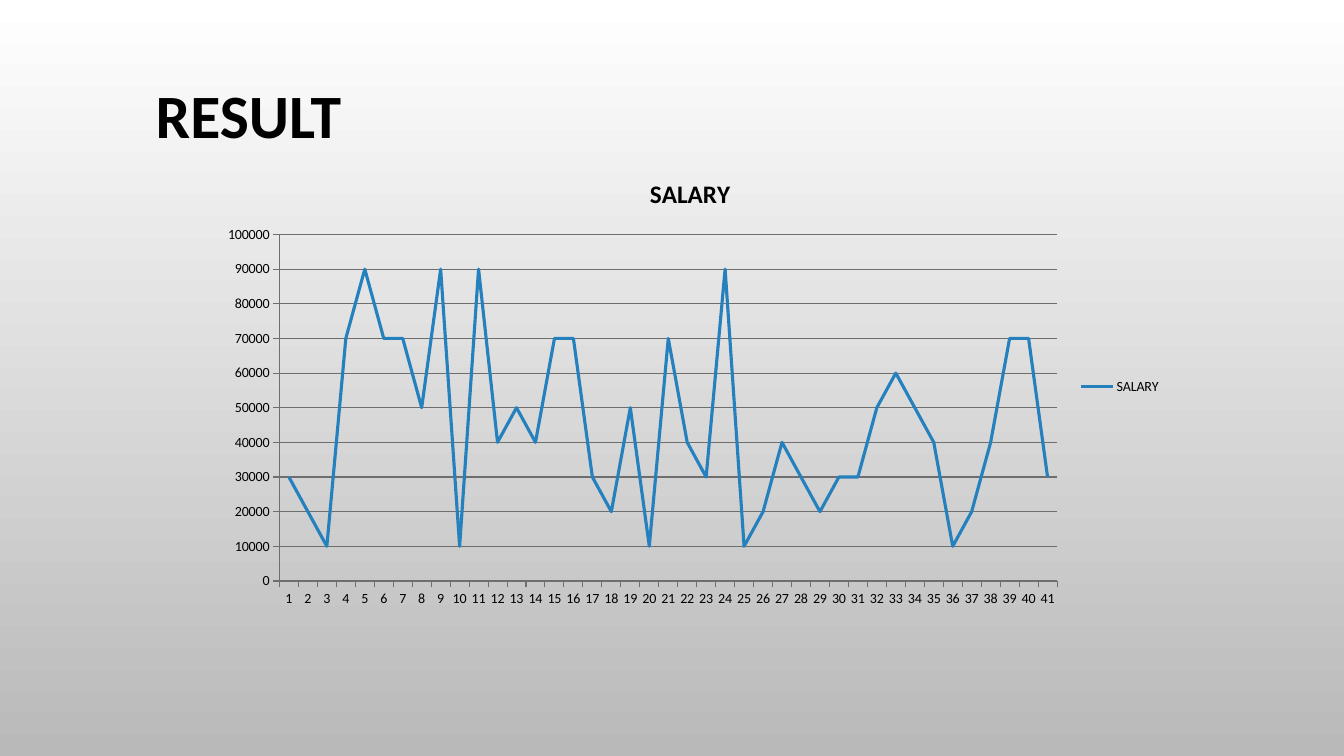
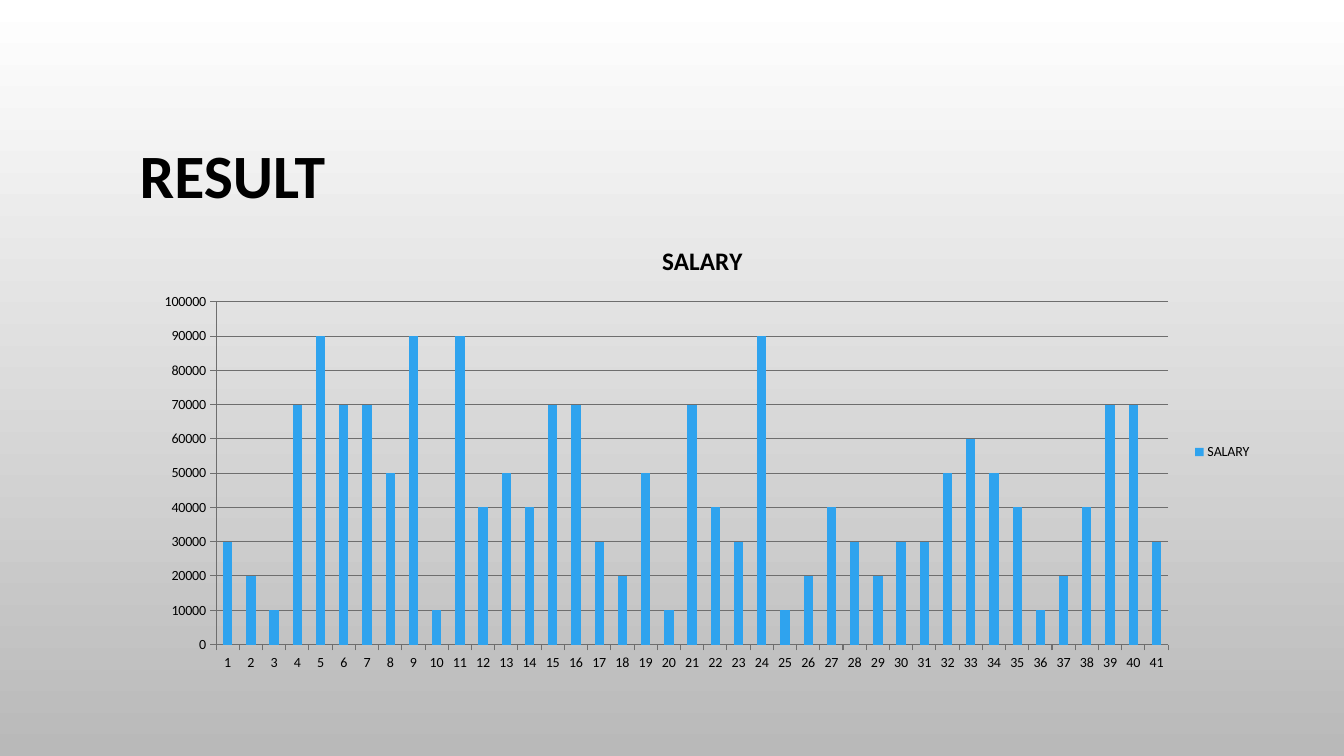
from dataclasses import dataclass

from pptx import Presentation
from pptx.chart.chart import Chart
from pptx.chart.data import CategoryChartData as Data
from pptx.dml.color import RGBColor as Rgb
from pptx.enum.chart import XL_CHART_TYPE as Kind
from pptx.enum.chart import XL_LEGEND_POSITION as Spot
from pptx.enum.chart import XL_TICK_MARK as Tick
from pptx.enum.text import MSO_ANCHOR as Anchor
from pptx.enum.text import MSO_AUTO_SIZE as Fit
from pptx.enum.text import PP_ALIGN as Align
from pptx.util import Inches, Pt

WIDE, HIGH = Inches(13.33), Inches(7.5)


@dataclass(frozen=True)
class Theme:
    font: str = "Calibri"
    ink: str = "000000"
    top: str = "FFFFFF"
    base: str = "B9B9B9"
    rule: str = "6E6E6E"
    line: str = "2581BE"
    bar: str = "2FA3EE"
    head: float = 44
    name: float = 18
    label: float = 10
    thin: float = 0.75
    thick: float = 2.25


@dataclass(frozen=True)
class Box:
    """Left, top, width and height in percent of the slide."""
    x: float
    y: float
    w: float
    h: float

    def emu(self) -> tuple[int, int, int, int]:
        return (int(WIDE * self.x / 100), int(HIGH * self.y / 100),
                int(WIDE * self.w / 100), int(HIGH * self.h / 100))


@dataclass(frozen=True)
class Page:
    kind: Kind
    title: Box
    plot: Box


LOOK = Theme()
HEAD = "RESULT"
NAME = "SALARY"
# Salaries in thousands, one per employee
PAY = [30, 20, 10, 70, 90, 70, 70, 50, 90, 10, 90, 40, 50, 40,
       70, 70, 30, 20, 50, 10, 70, 40, 30, 90, 10, 20, 40, 30,
       20, 30, 30, 50, 60, 50, 40, 10, 20, 40, 70, 70, 30]
PAGES = [
    Page(Kind.LINE, Box(1.65, -2.8, 33.68, 36.93),
         Box(15.53, 20.8, 71.64, 60.67)),
    Page(Kind.COLUMN_CLUSTERED, Box(-25.2, 12.8, 85, 21.73),
         Box(10.58, 29.73, 83.35, 60.13)),
]


def style(font, size: float, bold: bool = False) -> None:
    font.name, font.size, font.bold = LOOK.font, Pt(size), bold
    font.color.rgb = Rgb.from_string(LOOK.ink)


def write(frame, text: str, *, size: float, bold: bool = True,
          align: Align = Align.CENTER, space: float = 1) -> None:
    frame.text = text
    para = frame.paragraphs[0]
    para.alignment, para.line_spacing = align, space
    style(para.runs[0].font, size, bold)


def stroke(line, color: str, width: float) -> None:
    line.color.rgb = Rgb.from_string(color)
    line.width = Pt(width)


def shade(master) -> None:
    fill = master.background.fill
    fill.gradient()
    fill.gradient_angle = 270
    for stop, color in zip(fill.gradient_stops, (LOOK.top, LOOK.base)):
        stop.color.rgb = Rgb.from_string(color)


def title(shape, box: Box) -> None:
    shape.left, shape.top, shape.width, shape.height = box.emu()
    frame = shape.text_frame
    frame.auto_size, frame.vertical_anchor = Fit.NONE, Anchor.MIDDLE
    write(frame, HEAD, size=LOOK.head, space=0.9)


def paint(chart: Chart, kind: Kind) -> None:
    plot = chart.plots[0]
    plot.vary_by_categories = False
    row = plot.series[0]
    if kind == Kind.LINE:
        row.smooth = False
        stroke(row.format.line, LOOK.line, LOOK.thick)
    else:
        plot.gap_width = 150
        row.format.fill.solid()
        row.format.fill.fore_color.rgb = Rgb.from_string(LOOK.bar)


def graph(slide, page: Page) -> None:
    data = Data()
    data.categories = [str(n) for n in range(1, len(PAY) + 1)]
    data.add_series(NAME, [pay * 1000 for pay in PAY])
    chart = slide.shapes.add_chart(page.kind, *page.plot.emu(), data).chart
    style(chart.font, LOOK.label)
    paint(chart, page.kind)

    # Title and legend
    chart.has_title = chart.has_legend = True
    write(chart.chart_title.text_frame, NAME, size=LOOK.name)
    chart.chart_title.include_in_layout = False
    chart.legend.position = Spot.RIGHT
    chart.legend.include_in_layout = False

    # Axes
    for axis in (chart.category_axis, chart.value_axis):
        axis.major_tick_mark, axis.minor_tick_mark = Tick.OUTSIDE, Tick.NONE
        stroke(axis.format.line, LOOK.rule, LOOK.thin)
    scale = chart.value_axis
    scale.minimum_scale, scale.maximum_scale = 0, 100000
    scale.major_unit = 10000
    scale.has_major_gridlines = True
    stroke(scale.major_gridlines.format.line, LOOK.rule, LOOK.thin)


def main() -> None:
    deck = Presentation()
    deck.slide_width, deck.slide_height = WIDE, HIGH
    shade(deck.slide_master)
    for page in PAGES:
        slide = deck.slides.add_slide(deck.slide_layouts[5])
        title(slide.shapes.title, page.title)
        graph(slide, page)
    deck.save("out.pptx")


if __name__ == "__main__":
    main()
